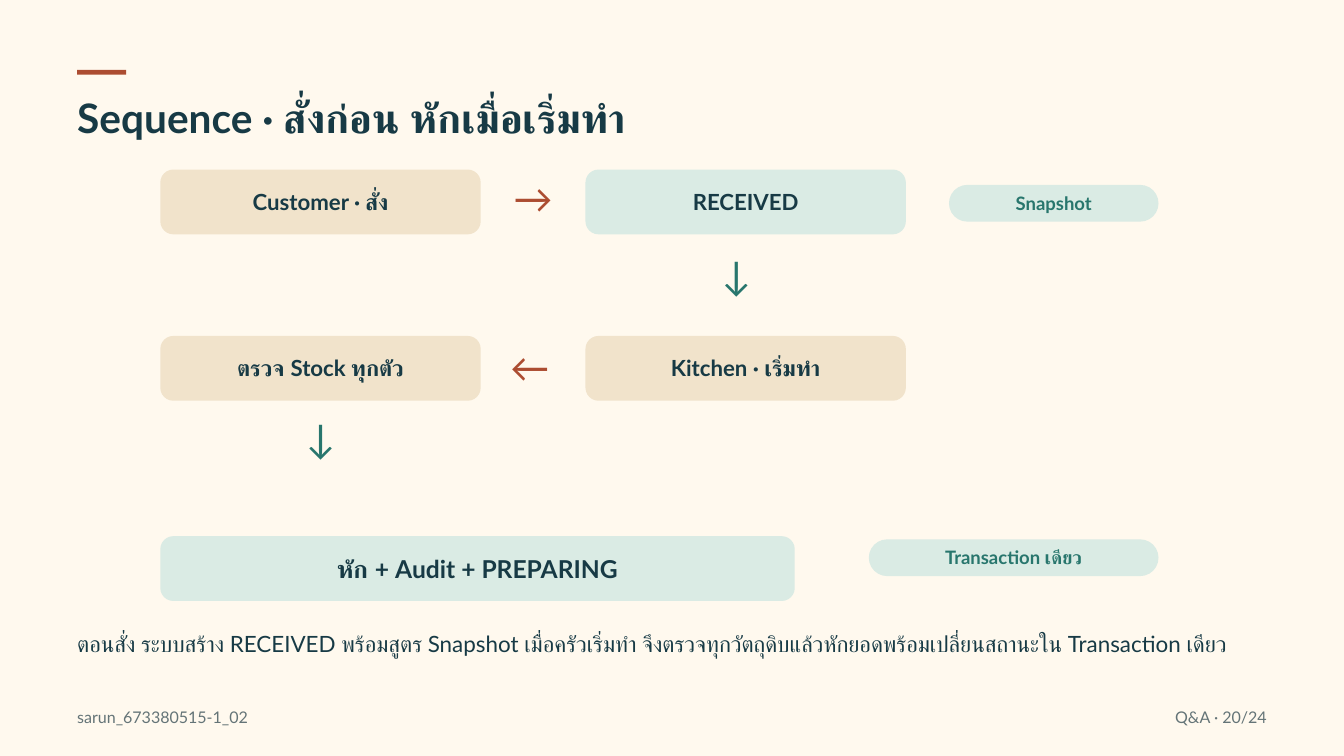
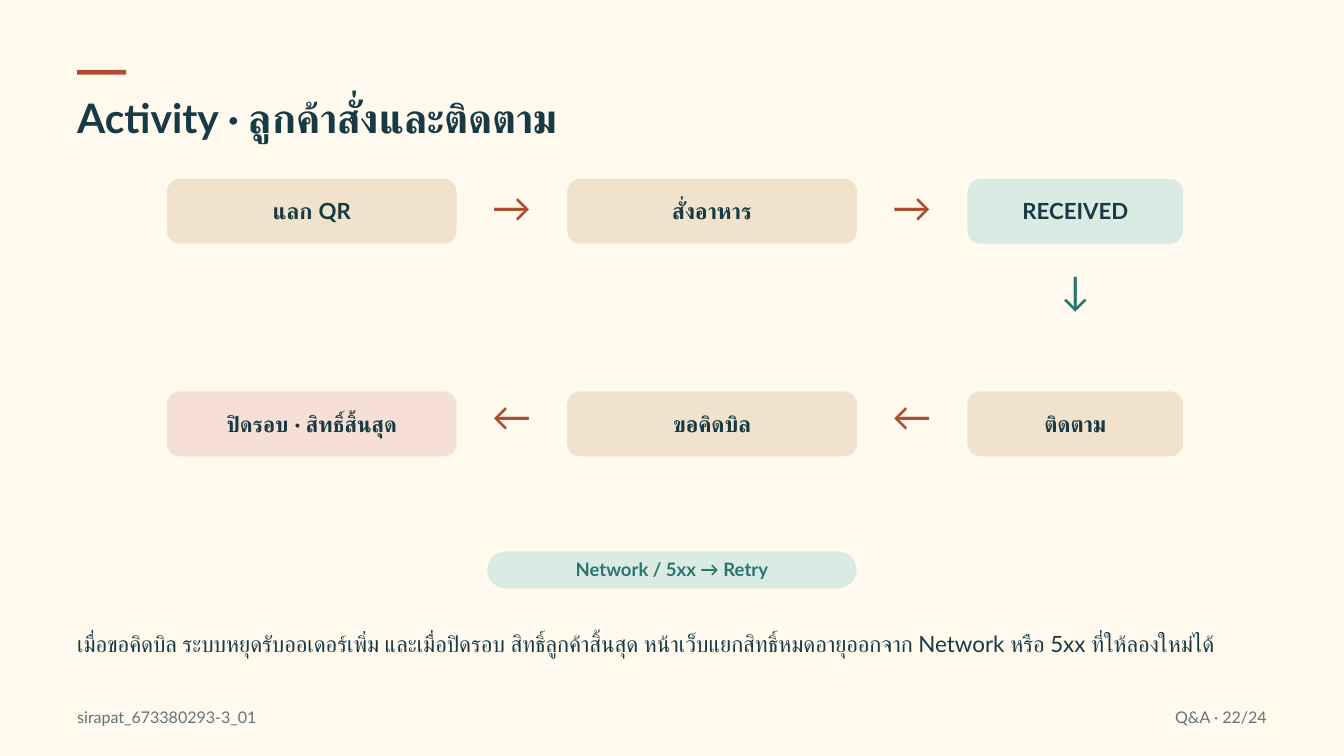
import pptx
import pptx.dml.color
import pptx.enum.shapes
import pptx.enum.text
import pptx.util

Cm = pptx.util.Cm
Pt = pptx.util.Pt
RGBColor = pptx.dml.color.RGBColor
MSO_SHAPE = pptx.enum.shapes.MSO_SHAPE
PP_ALIGN = pptx.enum.text.PP_ALIGN
MSO_ANCHOR = pptx.enum.text.MSO_ANCHOR

CREAM = RGBColor(0xFF, 0xF9, 0xEE)
RUST = RGBColor(0xAC, 0x4D, 0x31)
NAVY = RGBColor(0x17, 0x3A, 0x45)
TEAL = RGBColor(0x28, 0x76, 0x6D)
GREY = RGBColor(0x64, 0x74, 0x77)
SAND = RGBColor(0xF1, 0xE3, 0xCB)
MINT = RGBColor(0xDA, 0xEB, 0xE4)
BLUSH = RGBColor(0xF6, 0xDF, 0xD6)

FONT = "Lato"
# style: font size, line spacing, bold, colour
STYLES = {
    "title": (43.5, 58.3, True, NAVY),
    "step": (23.8, 31.8, True, NAVY),
    "long step": (23.1, 30.9, True, NAVY),
    "result": (26.4, 35.4, True, NAVY),
    "pill": (19.8, 26.5, True, TEAL),
    "across": (42.2, 56.6, False, RUST),
    "down": (42.2, 56.6, False, TEAL),
    "caption": (24, 32.2, False, NAVY),
    "footer": (17.2, 23.1, False, GREY),
}

MARGIN = 2.92
BOX_H, PILL_H = 2.45, 1.39
ARROW_W, ARROW_H = 3, 2.16

# Sequence slide: two columns, three rows, pills flush right
SEQ_X = (6.06, 22.13)
SEQ_Y = (6.41, 12.7, 20.27)
SEQ_W = 12.11
PILL_RIGHT = 43.79
# Activity slide: three equally spaced columns, two rows
ACT_X = [6.31 + 15.13 * i for i in range(3)]
ACT_Y = (6.76, 14.8)
ACT_W, ACT_LAST_W = 10.95, 8.15
ACT_ARROW_X = [19.34 + 15.13 * i for i in range(2)]

SLIDES = [
    {
        "title": "Sequence · สั่งก่อน หักเมื่อเริ่มทำ",
        # text, left, top, width, fill, style
        "boxes": [
            ("Customer · สั่ง", SEQ_X[0], SEQ_Y[0], SEQ_W, SAND, "step"),
            ("RECEIVED", SEQ_X[1], SEQ_Y[0], SEQ_W, MINT, "step"),
            ("Snapshot", PILL_RIGHT - 7.92, 6.99, 7.92, MINT, "pill"),
            ("Kitchen · เริ่มทำ", SEQ_X[1], SEQ_Y[1], SEQ_W, SAND, "step"),
            ("ตรวจ Stock ทุกตัว", SEQ_X[0], SEQ_Y[1], SEQ_W, SAND, "step"),
            ("หัก + Audit + PREPARING", SEQ_X[0], SEQ_Y[2], 23.98, MINT, "result"),
            ("Transaction เดียว", PILL_RIGHT - 10.95, 20.39, 10.95, MINT, "pill"),
        ],
        # text, centre, top, style
        "arrows": [
            ("→", 20.15, 6.37, "across"),
            ("↓", 27.84, 9.27, "down"),
            ("←", 20.03, 12.78, "across"),
            ("↓", 12.12, 15.44, "down"),
        ],
        "caption": "ตอนสั่ง ระบบสร้าง RECEIVED พร้อมสูตร Snapshot เมื่อครัวเริ่มทำ "
                   "จึงตรวจทุกวัตถุดิบแล้วหักยอดพร้อมเปลี่ยนสถานะใน Transaction เดียว",
        "author": "sarun_673380515-1_02",
        "number": 20,
    },
    {
        "title": "Activity · ลูกค้าสั่งและติดตาม",
        "boxes": [
            ("แลก QR", ACT_X[0], ACT_Y[0], ACT_W, SAND, "step"),
            ("สั่งอาหาร", ACT_X[1], ACT_Y[0], ACT_W, SAND, "step"),
            ("RECEIVED", ACT_X[2], ACT_Y[0], ACT_LAST_W, MINT, "step"),
            ("ติดตาม", ACT_X[2], ACT_Y[1], ACT_LAST_W, SAND, "step"),
            ("ขอคิดบิล", ACT_X[1], ACT_Y[1], ACT_W, SAND, "step"),
            ("ปิดรอบ · สิทธิ์สิ้นสุด", ACT_X[0], ACT_Y[1], ACT_W, BLUSH, "long step"),
            ("Network / 5xx → Retry", 18.41, 20.85, 13.97, MINT, "pill"),
        ],
        "arrows": [
            ("→", ACT_ARROW_X[0], 6.71, "across"),
            ("→", ACT_ARROW_X[1], 6.71, "across"),
            ("↓", 40.65, 9.86, "down"),
            ("←", ACT_ARROW_X[1], 14.63, "across"),
            ("←", ACT_ARROW_X[0], 14.63, "across"),
        ],
        "caption": "เมื่อขอคิดบิล ระบบหยุดรับออเดอร์เพิ่ม และเมื่อปิดรอบ สิทธิ์ลูกค้าสิ้นสุด "
                   "หน้าเว็บแยกสิทธิ์หมดอายุออกจาก Network หรือ 5xx ที่ให้ลองใหม่ได้",
        "author": "sirapat_673380293-3_01",
        "number": 22,
    },
]


def write(sp, text, style, align=PP_ALIGN.LEFT, anchor=MSO_ANCHOR.TOP, bottom=0):
    """Put one styled paragraph into a shape or text box."""
    size, spacing, bold, color = STYLES[style]
    tf = sp.text_frame
    frame = {"word_wrap": True, "vertical_anchor": anchor, "margin_left": 0,
             "margin_top": 0, "margin_right": 0, "margin_bottom": Cm(bottom)}
    for name, value in frame.items():
        setattr(tf, name, value)
    p = tf.paragraphs[0]
    p.alignment = align
    p.line_spacing = Pt(spacing)
    r = p.add_run()
    r.text = text
    for name, value in {"name": FONT, "size": Pt(size), "bold": bold}.items():
        setattr(r.font, name, value)
    r.font.color.rgb = color


def add_filled(s, kind, left, top, width, height, fill):
    sp = s.shapes.add_shape(kind, Cm(left), Cm(top), Cm(width), Cm(height))
    sp.shadow.inherit = False
    sp.fill.solid()
    sp.fill.fore_color.rgb = fill
    sp.line.fill.background()
    return sp


prs = pptx.Presentation()
prs.slide_width, prs.slide_height = Cm(50.8), Cm(28.58)
background = prs.slide_master.background.fill
background.solid()
background.fore_color.rgb = CREAM

for content in SLIDES:
    s = prs.slides.add_slide(prs.slide_layouts[6])
    add_filled(s, MSO_SHAPE.RECTANGLE, MARGIN, 2.64, 1.85, 0.18, RUST)

    for text, left, top, width, fill, style in content["boxes"]:
        is_pill = style == "pill"
        height = PILL_H if is_pill else BOX_H
        sp = add_filled(s, MSO_SHAPE.ROUNDED_RECTANGLE, left, top, width, height, fill)
        sp.adjustments[0] = 0.5 if is_pill else 0.2
        write(sp, text, style, PP_ALIGN.CENTER, MSO_ANCHOR.MIDDLE, bottom=0.13)

    # text, left, top, width, height, style, alignment
    labels = [
        (content["title"], MARGIN, 3.28, 45.24, 2.21, "title", PP_ALIGN.LEFT),
        (content["caption"], MARGIN, 23.7, 44.98, 2.36, "caption", PP_ALIGN.LEFT),
        (content["author"], MARGIN, 26.67, 33.07, 0.86, "footer", PP_ALIGN.LEFT),
        (f"Q&A · {content['number']}/24", 38.89, 26.67, 8.99, 0.86, "footer", PP_ALIGN.RIGHT),
    ]
    for text, centre, top, style in content["arrows"]:
        labels.append((text, centre - ARROW_W / 2, top, ARROW_W, ARROW_H, style, PP_ALIGN.CENTER))
    for text, left, top, width, height, style, align in labels:
        sp = s.shapes.add_textbox(Cm(left), Cm(top), Cm(width), Cm(height))
        write(sp, text, style, align)

prs.save("out.pptx")
